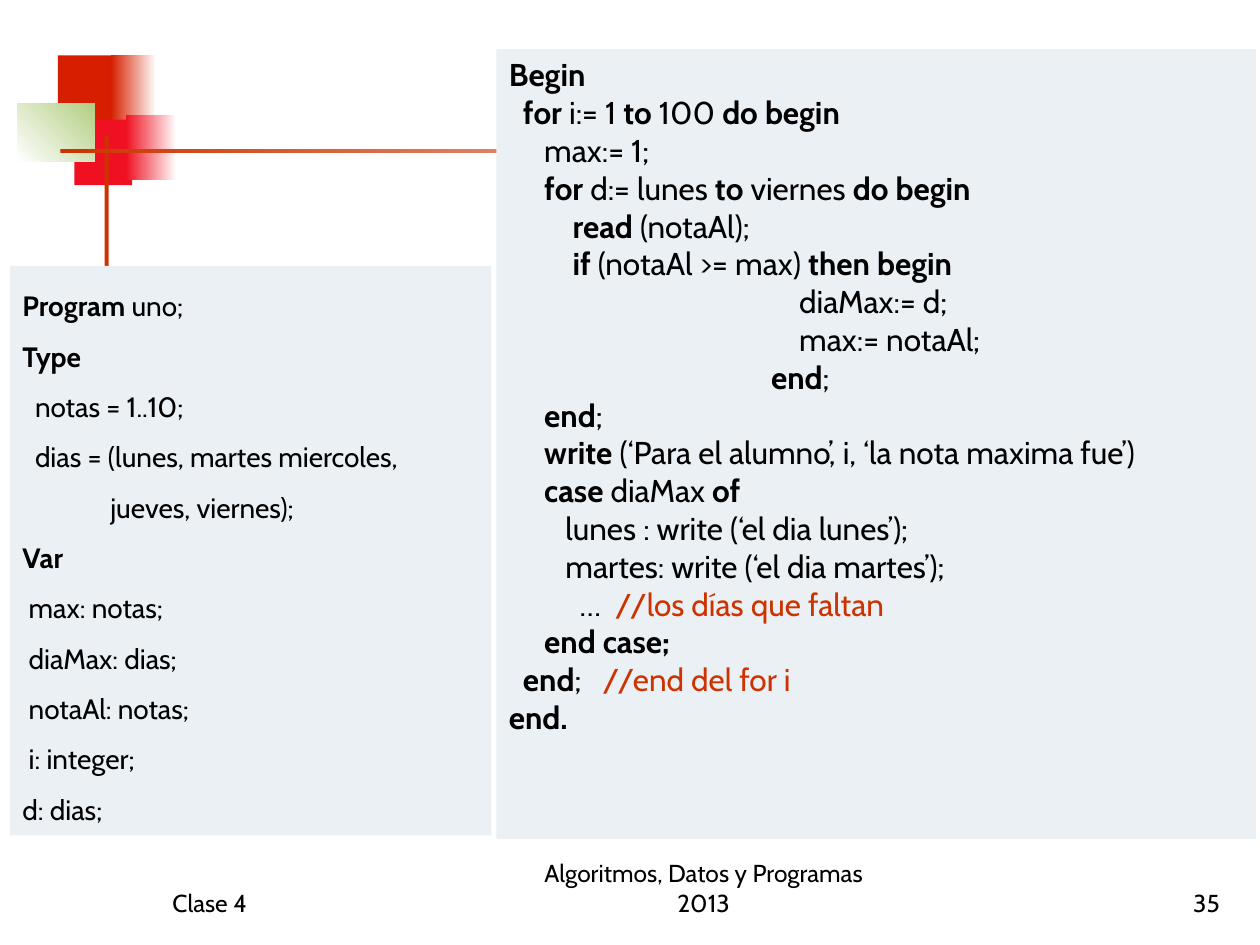
from pptx import Presentation
from pptx.dml.color import RGBColor
from pptx.enum.shapes import MSO_SHAPE
from pptx.enum.text import MSO_ANCHOR, PP_ALIGN
from pptx.util import Pt

COLORS = {
    "text": "000000", "accent": "CC3300", "panel": "EBF0F5", "white": "FFFFFF",
    "brick": "D61F00", "red": "EF1121", "green": "B3CE82",
}

# Asterisks switch bold on and off; "//" starts a coloured comment.
DECLARATIONS = """\
*Program* uno;
*Type*
  notas = 1..10;
  dias = (lunes, martes miercoles,
              jueves, viernes);
*Var*
 max: notas;
 diaMax: dias;
 notaAl: notas;
 i: integer;
d: dias;"""

MAIN_BLOCK = """\
*Begin*
  *for* i:= 1 *to* 100 *do begin*
     max:= 1;
     *for* d:= lunes *to* viernes *do begin*
         *read* (notaAl);
         *if* (notaAl >= max) *then begin*
                                         diaMax:= d;
                                         max:= notaAl;
                                     *end*;
     *end*;
     *write* (‘Para el alumno’, i, ‘la nota maxima fue’)
     *case* diaMax *of*
        lunes : write (‘el dia lunes’);
        martes: write (‘el dia martes’);
          …  //los días que faltan
     *end case;*
*  end*;   //end del for i
*end.*"""


class SlideBuilder:
    font_name = "Cabin"
    footer_size = 14

    def __init__(self, slide):
        self.slide = slide

    def color(self, name):
        return RGBColor.from_string(COLORS[name])

    def rectangle(self, box, color):
        shape = self.slide.shapes.add_shape(MSO_SHAPE.RECTANGLE, *map(Pt, box))
        shape.shadow.inherit = False
        shape.line.fill.background()
        shape.fill.solid()
        shape.fill.fore_color.rgb = self.color(color)
        return shape

    def gradient(self, box, start, end, angle=0):
        fill = self.rectangle(box, start).fill
        fill.gradient()
        fill.gradient_angle = angle
        for stop, name in zip(fill.gradient_stops, (start, end)):
            stop.color.rgb = self.color(name)

    def run(self, paragraph, text, size, color="text", bold=False):
        run = paragraph.add_run()
        run.text = text
        run.font.name = self.font_name
        run.font.size = Pt(size)
        run.font.bold = bold
        run.font.color.rgb = self.color(color)

    def code_panel(self, box, code, size, line_spacing=1.0):
        frame = self.rectangle(box, "panel").text_frame
        frame.word_wrap = True
        frame.vertical_anchor = MSO_ANCHOR.TOP
        for index, line in enumerate(code.splitlines()):
            paragraph = frame.add_paragraph() if index else frame.paragraphs[0]
            paragraph.alignment = PP_ALIGN.JUSTIFY
            paragraph.line_spacing = line_spacing
            statement, slashes, comment = line.partition("//")
            for part, text in enumerate(statement.split("*")):
                if text:
                    self.run(paragraph, text, size, bold=part % 2 == 1)
            if slashes:
                self.run(paragraph, slashes + comment, size, "accent")

    def footer(self, left, width, text, alignment):
        box = (left, 491.76, width, 36)
        frame = self.slide.shapes.add_textbox(*map(Pt, box)).text_frame
        frame.word_wrap = True
        frame.vertical_anchor = MSO_ANCHOR.BOTTOM
        paragraph = frame.paragraphs[0]
        paragraph.alignment = alignment
        self.run(paragraph, text, self.footer_size)


def main():
    presentation = Presentation()
    presentation.slide_width, presentation.slide_height = Pt(720), Pt(540)
    blank_layout = presentation.slide_layouts[6]
    builder = SlideBuilder(presentation.slides.add_slide(blank_layout))

    # Corner ornament
    builder.rectangle((33.12, 31.68, 34.56, 37.44), "brick")
    builder.gradient((63.36, 31.68, 25.92, 37.44), "brick", "white")
    builder.rectangle((42.48, 68.4, 33.12, 37.44), "red")
    builder.gradient((72, 65.52, 28.8, 37.44), "red", "white")
    builder.gradient((10.08, 59.04, 43.92, 33.12), "white", "green", angle=45)
    builder.rectangle((59.76, 77.76, 2.4, 82.8), "accent")
    builder.gradient((34.56, 84.96, 648, 2.4), "accent", "white")

    builder.code_panel((5.76, 151.92, 275.04, 325.44), DECLARATIONS, 16, 1.5)
    builder.code_panel((283.68, 28.08, 434.16, 451.44), MAIN_BLOCK, 18)

    builder.footer(91.44, 149.76, "Clase 4", PP_ALIGN.LEFT)
    builder.footer(288, 228.24, "Algoritmos, Datos y Programas 2013", PP_ALIGN.CENTER)
    builder.footer(554.4, 149.76, "35", PP_ALIGN.RIGHT)

    presentation.save("out.pptx")


if __name__ == "__main__":
    main()
